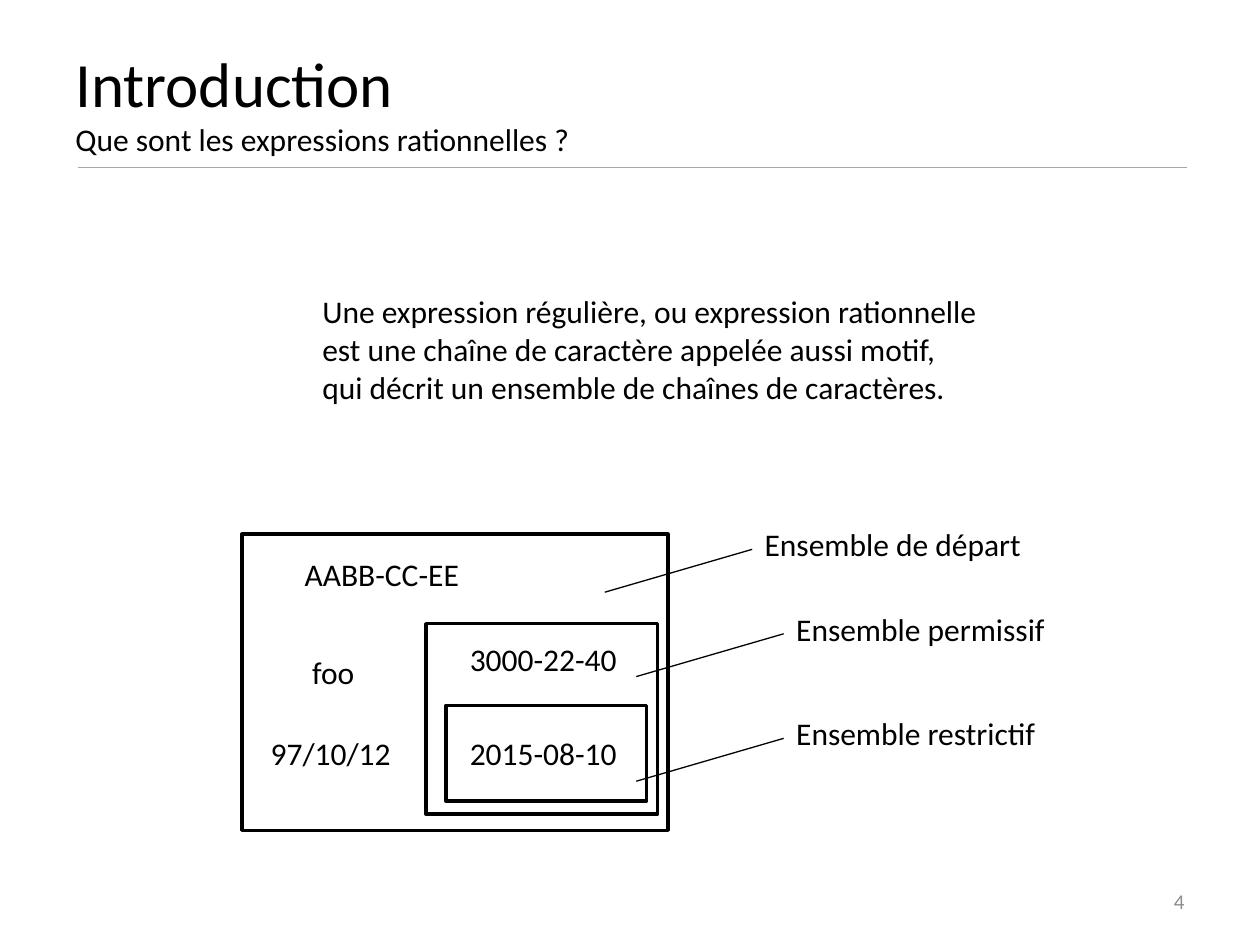
from lxml import etree
from pptx import Presentation
from pptx import util as u
from pptx.dml.color import RGBColor
from pptx.enum import shapes, text
from pptx.oxml.ns import qn

BLACK = RGBColor(0x00, 0x00, 0x00)
GREY = RGBColor(0x8C, 0x8C, 0x8C)
ORANGE = RGBColor(0xF6, 0x92, 0x40)
COLUMNS, ROWS = 100, 75


class Deck:
    font = "Calibri"
    body = 18
    label_height = 4

    def __init__(self, prs):
        self.prs = prs
        self.slide = prs.slides.add_slide(prs.slide_layouts[6])

    def x(self, columns):
        return round(self.prs.slide_width * columns / COLUMNS)

    def y(self, rows):
        return round(self.prs.slide_height * rows / ROWS)

    def place(self, left, top, width, height):
        return self.x(left), self.y(top), self.x(width), self.y(height)

    def text(self, area, content, sizes=(body,), color=BLACK, wrap=True,
             align=text.PP_ALIGN.LEFT, anchor=text.MSO_ANCHOR.TOP):
        tf = self.slide.shapes.add_textbox(*self.place(*area)).text_frame
        tf.word_wrap = wrap
        tf.vertical_anchor = anchor
        tf.text = content
        p = tf.paragraphs[0]
        p.alignment = align
        for i, r in enumerate(p.runs):
            r.font.name = self.font
            r.font.size = u.Pt(sizes[min(i, len(sizes) - 1)])
            r.font.color.rgb = color

    def label(self, left, top, width, content):
        self.text((left, top, width, self.label_height), content, wrap=False)

    def frame(self, *area):
        sp = self.slide.shapes.add_shape(
            shapes.MSO_SHAPE.RECTANGLE, *self.place(*area))
        sp.shadow.inherit = False
        sp.fill.background()
        sp.line.color.rgb = BLACK
        sp.line.width = u.Pt(2)

    def line(self, x1, y1, x2, y2, color=BLACK):
        sp = self.slide.shapes.add_connector(
            shapes.MSO_CONNECTOR.STRAIGHT,
            self.x(x1), self.y(y1), self.x(x2), self.y(y2))
        sp.line.color.rgb = color
        sp.line.width = u.Pt(0.75)
        etree.SubElement(sp._element.spPr, qn("a:effectLst"))

    def callout(self, left, top, width, content):
        end = left + 11.7
        self.line(left, top, end, top - 3.4)
        self.label(end, top - 5.8, width, content)


def main():
    prs = Presentation()
    prs.slide_width, prs.slide_height = u.Inches(10), u.Inches(7.5)
    s = Deck(prs)

    s.text((5, 3, 90, 12.5),
           "Introduction\vQue sont les expressions rationnelles ?", (36, 18))
    s.line(6.2, 13.3, 94.2, 13.3, ORANGE)
    s.text((24.6, 22.7, 54.2, 10.1),
           "Une expression régulière, ou expression rationnelle "
           "est une chaîne de caractère appelée aussi motif,\v"
           "qui décrit un ensemble de chaînes de caractères.")

    for area in ((19.2, 42.4, 33.8, 23.5),
                 (33.8, 49.5, 18.4, 15.1),
                 (35.4, 56, 15.9, 7.6)):
        s.frame(*area)

    for left, top, width, content in (
            (23.2, 43.6, 14.4, "AABB-CC-EE"),
            (23.8, 51.3, 5.4, "foo"),
            (20.5, 57.8, 11.7, "97/10/12"),
            (36.3, 50.3, 13.8, "3000-22-40"),
            (36.3, 57.8, 13.8, "2015-08-10")):
        s.label(left, top, width, content)

    for left, top, width, content in (
            (48, 47, 22.6, "Ensemble de départ"),
            (50.5, 53.7, 21.9, "Ensemble permissif"),
            (50.5, 62, 21.2, "Ensemble restrictif")):
        s.callout(left, top, width, content)

    s.text((71.7, 69.5, 23.3, 4), "4", (12,), GREY,
           align=text.PP_ALIGN.RIGHT, anchor=text.MSO_ANCHOR.MIDDLE)
    prs.save("out.pptx")


if __name__ == "__main__":
    main()
